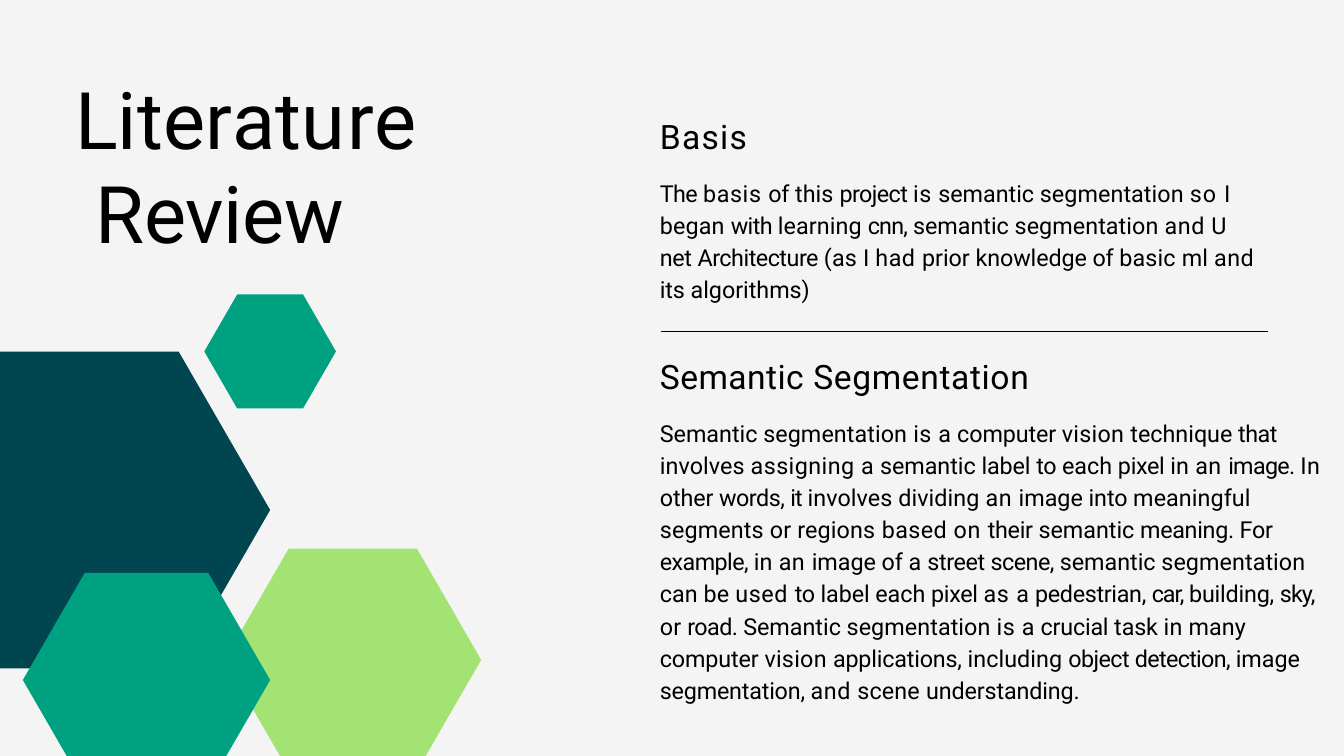
from itertools import groupby
from math import sqrt

from lxml.etree import SubElement
from pptx import Presentation
from pptx.dml.color import RGBColor
from pptx.enum.shapes import MSO_CONNECTOR
from pptx.enum.text import MSO_ANCHOR, PP_ALIGN
from pptx.oxml.ns import qn
from pptx.util import Inches, Pt

# The grid has one-inch columns and rows
COLS, ROWS = 20, 11.25
TEXT_COL = 9.81
FONT = "Roboto"
INK, PAPER = "000000", "F4F4F4"
NAVY, LIME, GREEN = "004550", "A3E373", "00A181"

# Letter spacing in points, and the body words that take it
WORDS_BY_TRACKING = {
    -1.2: "car,",
    -0.9: "it sky,",
    -0.8: "cnn,",
    -0.7: "image. detection,",
    -0.6: "The project with example, road. object",
    -0.5: "Architecture that words, scene,",
    -0.4: "street",
    -0.3: "net to pixel their meaning. pedestrian,",
    -0.2: "of For building, crucial applications, segmentation,",
    -0.1: "knowledge its computer label other into task understanding.",
    0: "semantic Semantic prior algorithms) technique each image",
    0.2: "began (as basic a in segments or regions many scene",
    0.3: "vision",
    0.5: "assigning In based",
    0.6: "is and had an",
    0.7: "basis used",
    0.8: "on as",
    1.1: "so",
}
TRACKING = {word: points for points, words in WORDS_BY_TRACKING.items()
            for word in words.split()}
DEFAULT_TRACKING = 0.1

TITLE_LETTERS = [("L", -0.9), ("i", -1.1), ("t", -2.7), ("e", -0.6), ("r", -0.5),
                 ("a", 0.8), ("t", -2.8), ("u", 1.7), ("r", -0.5), ("e", 0.2)]

BASIS = [
    "The basis of this project is semantic segmentation so I",
    "began with learning cnn, semantic segmentation and U",
    "net Architecture (as I had prior knowledge of basic ml and",
    "its algorithms)",
]
SEGMENTATION = [
    "Semantic segmentation is a computer vision technique that",
    "involves assigning a semantic label to each pixel in an image. In",
    "other words, it involves dividing an image into meaningful",
    "segments or regions based on their semantic meaning. For",
    "example, in an image of a street scene, semantic segmentation",
    "can be used to label each pixel as a pedestrian, car, building, sky,",
    "or road. Semantic segmentation is a crucial task in many",
    "computer vision applications, including object detection, image",
    "segmentation, and scene understanding.",
]


def color(hex_value):
    return RGBColor.from_string(hex_value)


def place(shape, box):
    shape.left, shape.top, shape.width, shape.height = map(Inches, box)


def set_frame(frame, top_inset):
    frame.word_wrap = True
    frame.vertical_anchor = MSO_ANCHOR.TOP
    frame.margin_left = frame.margin_right = frame.margin_bottom = 0
    frame.margin_top = Inches(top_inset)


def set_indent(paragraph, left, first=0):
    properties = paragraph._p.get_or_add_pPr()
    properties.set("marL", str(Inches(left)))
    properties.set("indent", str(Inches(first)))


def add_run(paragraph, text, size, tracking):
    run = paragraph.add_run()
    run.text = text
    run.font.name, run.font.size = FONT, Pt(size)
    run.font.color.rgb = color(INK)
    run.font._element.set("spc", str(round(tracking * 100)))


def add_title(slide, box):
    title = slide.shapes.title
    place(title, box)
    set_frame(title.text_frame, 0.04)
    paragraph = title.text_frame.paragraphs[0]
    paragraph.alignment = PP_ALIGN.LEFT
    paragraph.line_spacing, paragraph.space_before = Pt(101.3), Pt(3)
    set_indent(paragraph, 0.31, -0.3)
    for letter, tracking in TITLE_LETTERS:
        add_run(paragraph, letter, 85, tracking)
    paragraph.add_line_break()
    add_run(paragraph, "Review", 85, -0.2)


def add_section(slide, box, heading_runs, lines):
    frame = slide.shapes.add_textbox(*map(Inches, box)).text_frame
    set_frame(frame, 0.01)

    # Heading
    heading = frame.paragraphs[0]
    heading.space_before = Pt(1)
    set_indent(heading, 0.01)
    for text, tracking in heading_runs:
        add_run(heading, text, 36, tracking)

    # Body, one run for each stretch of equal tracking
    body = frame.add_paragraph()
    body.line_spacing, body.space_before = 1.15, Pt(19.4)
    set_indent(body, 0.01)
    for number, line in enumerate(lines):
        if number:
            body.add_line_break()
        stretches = [(" ".join(words), tracking) for tracking, words in groupby(
            line.split(), lambda word: TRACKING.get(word, DEFAULT_TRACKING))]
        for index, (text, tracking) in enumerate(stretches, 1):
            gap = " " if index < len(stretches) else ""
            add_run(body, text + gap, 25, tracking)


def add_hexagon(slide, center_x, center_y, side, fill):
    """Regular hexagon, cut off at the left and bottom slide edges."""
    rise = side * sqrt(3) / 2
    drop = min(rise, ROWS - center_y)
    lower = side - drop / sqrt(3)
    corners = [(-side / 2, -rise), (side / 2, -rise), (side, 0),
               (lower, drop), (-lower, drop), (-side, 0)]
    points = [(Inches(max(0, center_x + x)), Inches(center_y + y)) for x, y in corners]
    builder = slide.shapes.build_freeform(*points[0])
    builder.add_line_segments(points[1:], close=True)
    hexagon = builder.convert_to_shape()
    hexagon.shadow.inherit = False
    hexagon.fill.solid()
    hexagon.fill.fore_color.rgb = color(fill)
    hexagon.line.fill.background()


def add_divider(slide, left, right, y):
    divider = slide.shapes.add_connector(
        MSO_CONNECTOR.STRAIGHT, Inches(left), Inches(y), Inches(right), Inches(y))
    divider.line.color.rgb = color(INK)
    divider.line.width = Pt(0.75)
    SubElement(divider._element.spPr, qn("a:effectLst"))


def main():
    deck = Presentation()
    deck.slide_width, deck.slide_height = Inches(COLS), Inches(ROWS)
    slide = deck.slides.add_slide(deck.slide_layouts[5])
    slide.background.fill.solid()
    slide.background.fill.fore_color.rgb = color(PAPER)

    add_title(slide, (1.11, 1.01, 5.29, 2.85))

    # Hexagon cluster, from back to front
    add_hexagon(slide, 1.3, 7.59, 2.72, NAVY)
    add_hexagon(slide, 5.25, 9.82, 1.91, LIME)
    add_hexagon(slide, 2.18, 10.12, 1.84, GREEN)
    add_hexagon(slide, 4.02, 5.23, 0.98, GREEN)

    # Reading column
    add_section(slide, (TEXT_COL, 1.72, 9.06, 2.82), [("Basis", 1.4)], BASIS)
    add_section(slide, (TEXT_COL, 5.29, 10.18, 5.21),
                [("Semantic ", 0.5), ("Segmentation", 0.7)], SEGMENTATION)
    add_divider(slide, 9.83, 18.87, 4.93)

    deck.save("out.pptx")


if __name__ == "__main__":
    main()
